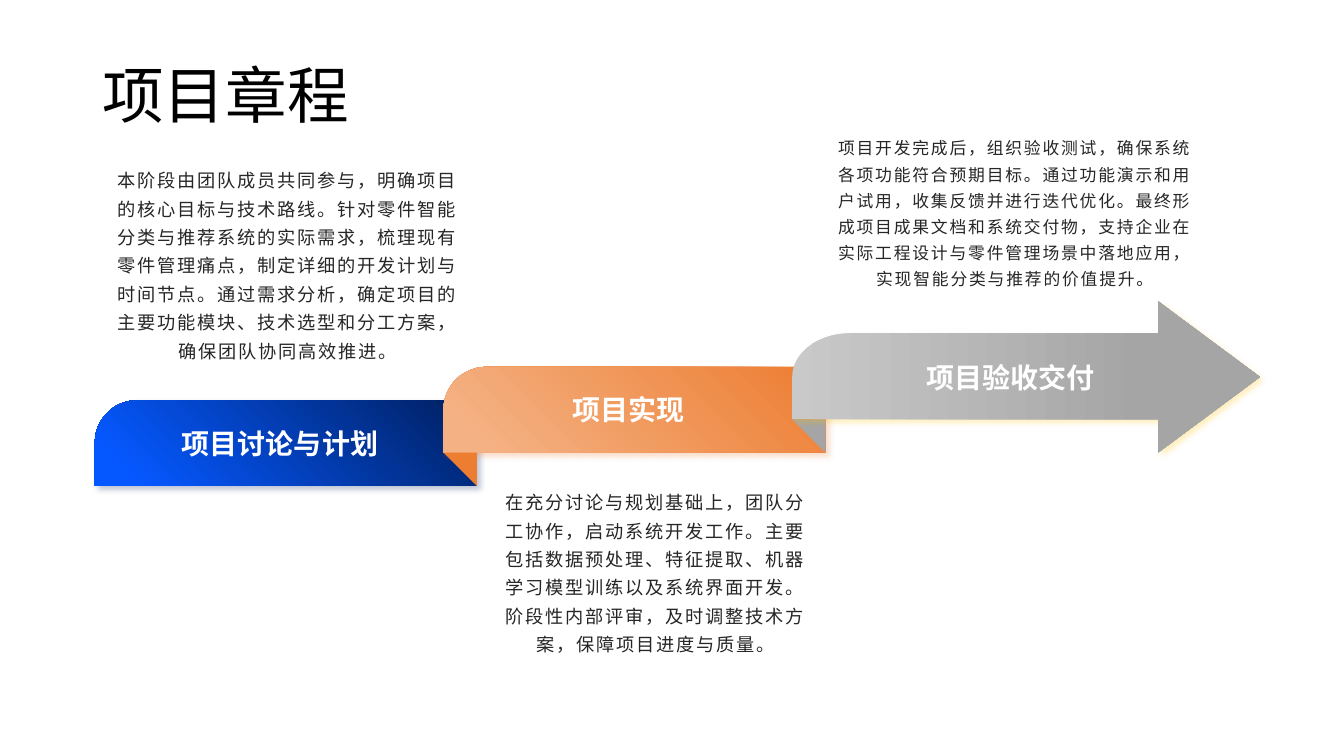
import math

import pptx
import pptx.dml.color
import pptx.enum.shapes
import pptx.enum.text
import pptx.oxml
import pptx.oxml.ns
import pptx.util

Pt = pptx.util.Pt
RGBColor = pptx.dml.color.RGBColor
SHAPE = pptx.enum.shapes.MSO_SHAPE
ALIGN = pptx.enum.text.PP_ALIGN
ANCHOR = pptx.enum.text.MSO_ANCHOR

FONT = "Noto Sans CJK SC"
BLACK = RGBColor(0x00, 0x00, 0x00)
WHITE = RGBColor(0xFF, 0xFF, 0xFF)
INK = RGBColor(0x26, 0x26, 0x26)
NAVY = RGBColor(0x00, 0x1F, 0x5E)
BLUE = RGBColor(0x05, 0x58, 0xFF)
ORANGE = RGBColor(0xED, 0x7D, 0x31)
PEACH = RGBColor(0xF4, 0xB1, 0x83)
GREY = RGBColor(0xA5, 0xA5, 0xA5)
SILVER = RGBColor(0xC9, 0xC9, 0xC9)
GOLD = RGBColor(0xFF, 0xC0, 0x00)

TITLE = "项目章程"
RIBBONS = [
    ("项目讨论与计划", NAVY, BLUE, ORANGE),
    ("项目实现", ORANGE, PEACH, GREY),
]
DELIVERY = "项目验收交付"
NOTES = [
    ("本阶段由团队成员共同参与，明确项目的核心目标与技术路线。针对零件智能分类与推荐系统的实际需求，"
     "梳理现有零件管理痛点，制定详细的开发计划与时间节点。通过需求分析，确定项目的主要功能模块、"
     "技术选型和分工方案，确保团队协同高效推进。",
     (79.9, 150.5, 250.6, 108), 13, ANCHOR.BOTTOM),
    ("项目开发完成后，组织验收测试，确保系统各项功能符合预期目标。通过功能演示和用户试用，"
     "收集反馈并进行迭代优化。最终形成项目成果文档和系统交付物，支持企业在实际工程设计与零件管理场景中"
     "落地应用，实现智能分类与推荐的价值提升。",
     (595.4, 87.1, 259.2, 119.5), 12, ANCHOR.BOTTOM),
    ("在充分讨论与规划基础上，团队分工协作，启动系统开发工作。主要包括数据预处理、特征提取、"
     "机器学习模型训练以及系统界面开发。阶段性内部评审，及时调整技术方案，保障项目进度与质量。",
     (355.7, 346.3, 225.4, 121.7), 13, ANCHOR.TOP),
]

LEFT, TOP = 67.7, 285.8
STEP, FOLD = 249.1, 23.8
BAND_W, BAND_H = STEP + FOLD, 61.3
HEAD_X, TIP_X = 827.3, 900
HEAD_TOP, HEAD_BOTTOM = 215.3, 323.3
CURVE_W, CURVE_H = 41, 31


def write(shape, text, size, color, anchor, insets, align, spacing=1.0, bold=False, tracking=0):
    frame = shape.text_frame
    frame.word_wrap = True
    frame.vertical_anchor = anchor
    (frame.margin_left, frame.margin_top,
     frame.margin_right, frame.margin_bottom) = [Pt(inset) for inset in insets]
    paragraph = frame.paragraphs[0]
    paragraph.alignment = align
    paragraph.line_spacing = spacing
    run = paragraph.add_run()
    run.text = text
    run.font.size = Pt(size)
    run.font.name = FONT
    run.font.bold = bold
    run.font.color.rgb = color
    properties = run.font._element
    east_asian = pptx.oxml.parse_xml(
        f'<a:ea {pptx.oxml.ns.nsdecls("a")} typeface="{FONT}"/>')
    properties.find(pptx.oxml.ns.qn("a:latin")).addnext(east_asian)
    if tracking:
        properties.set("spc", str(round(tracking * 100)))


def paint(shape, start, end, stop, angle, glow):
    shape.line.fill.background()
    shape.shadow.inherit = False
    namespace = pptx.oxml.ns.nsdecls("a")
    gradient = pptx.oxml.parse_xml(
        f'<a:gradFill {namespace} rotWithShape="1"><a:gsLst>'
        f'<a:gs pos="0"><a:srgbClr val="{start}"/></a:gs>'
        f'<a:gs pos="{stop * 1000}"><a:srgbClr val="{end}"/></a:gs>'
        f'</a:gsLst><a:lin ang="{angle * 60000}" scaled="0"/></a:gradFill>')
    shape._element.spPr.find(pptx.oxml.ns.qn("a:ln")).addprevious(gradient)
    shadow = pptx.oxml.parse_xml(
        f'<a:outerShdw {namespace} blurRad="{Pt(4)}" dist="{Pt(3)}" dir="2700000" '
        f'algn="tl" rotWithShape="0"><a:srgbClr val="{glow}">'
        f'<a:alpha val="25000"/></a:srgbClr></a:outerShdw>')
    shape._element.spPr.find(pptx.oxml.ns.qn("a:effectLst")).append(shadow)


def add_ribbon(shapes, index, label, start, end):
    ribbon = shapes.add_shape(
        SHAPE.ROUND_1_RECTANGLE, Pt(LEFT + index * STEP), Pt(TOP - index * FOLD),
        Pt(BAND_W), Pt(BAND_H))
    ribbon.adjustments[0] = 0.5
    ribbon._element.spPr.xfrm.set("flipH", "1")
    paint(ribbon, start, end, 90, 45, start)
    write(ribbon, label, 20, WHITE, ANCHOR.MIDDLE, (5.8, 5.8, 23, 5.8), ALIGN.CENTER, bold=True)


def add_fold(shapes, index, color):
    fold = shapes.add_shape(
        SHAPE.RIGHT_TRIANGLE, Pt(LEFT + (index + 1) * STEP),
        Pt(TOP - (index + 1) * FOLD + BAND_H), Pt(FOLD), Pt(FOLD))
    fold.rotation = 180
    fold.fill.solid()
    fold.fill.fore_color.rgb = color
    fold.line.fill.background()
    fold.shadow.inherit = False


def add_arrow(shapes):
    left = LEFT + 2 * STEP
    top = TOP - 2 * FOLD
    bottom = top + BAND_H
    corner = [
        (left + CURVE_W * (1 - math.cos(math.radians(turn))),
         top + CURVE_H * (1 - math.sin(math.radians(turn))))
        for turn in range(0, 91, 5)
    ]
    outline = [(TIP_X, (HEAD_TOP + HEAD_BOTTOM) / 2), (HEAD_X, HEAD_BOTTOM),
               (HEAD_X, bottom), (left, bottom), *corner, (HEAD_X, top)]
    builder = shapes.build_freeform(Pt(HEAD_X), Pt(HEAD_TOP))
    builder.add_line_segments([(Pt(x), Pt(y)) for x, y in outline], close=True)
    arrow = builder.convert_to_shape()
    paint(arrow, SILVER, GREY, 75, 0, GOLD)
    write(arrow, DELIVERY, 20, WHITE, ANCHOR.MIDDLE, (5.8, 5.8, 28.1, 5.8), ALIGN.CENTER, bold=True)


def main():
    deck = pptx.Presentation()
    deck.slide_width, deck.slide_height = Pt(960), Pt(540)
    shapes = deck.slides.add_slide(deck.slide_layouts[6]).shapes

    title = shapes.add_textbox(Pt(66), Pt(18), Pt(828), Pt(104.4))
    write(title, TITLE, 44, BLACK, ANCHOR.MIDDLE, (7.2, 3.6, 7.2, 3.6), ALIGN.LEFT, 0.9)

    for index, (label, start, end, _) in enumerate(RIBBONS):
        add_ribbon(shapes, index, label, start, end)
    for index, (_, _, _, fold_color) in enumerate(RIBBONS):
        add_fold(shapes, index, fold_color)
    add_arrow(shapes)

    for text, box, size, anchor in NOTES:
        note = shapes.add_textbox(*[Pt(length) for length in box])
        write(note, text, size, INK, anchor, (0, 0, 0, 0), ALIGN.CENTER, 1.3, tracking=1.3)

    deck.save("out.pptx")


if __name__ == "__main__":
    main()
